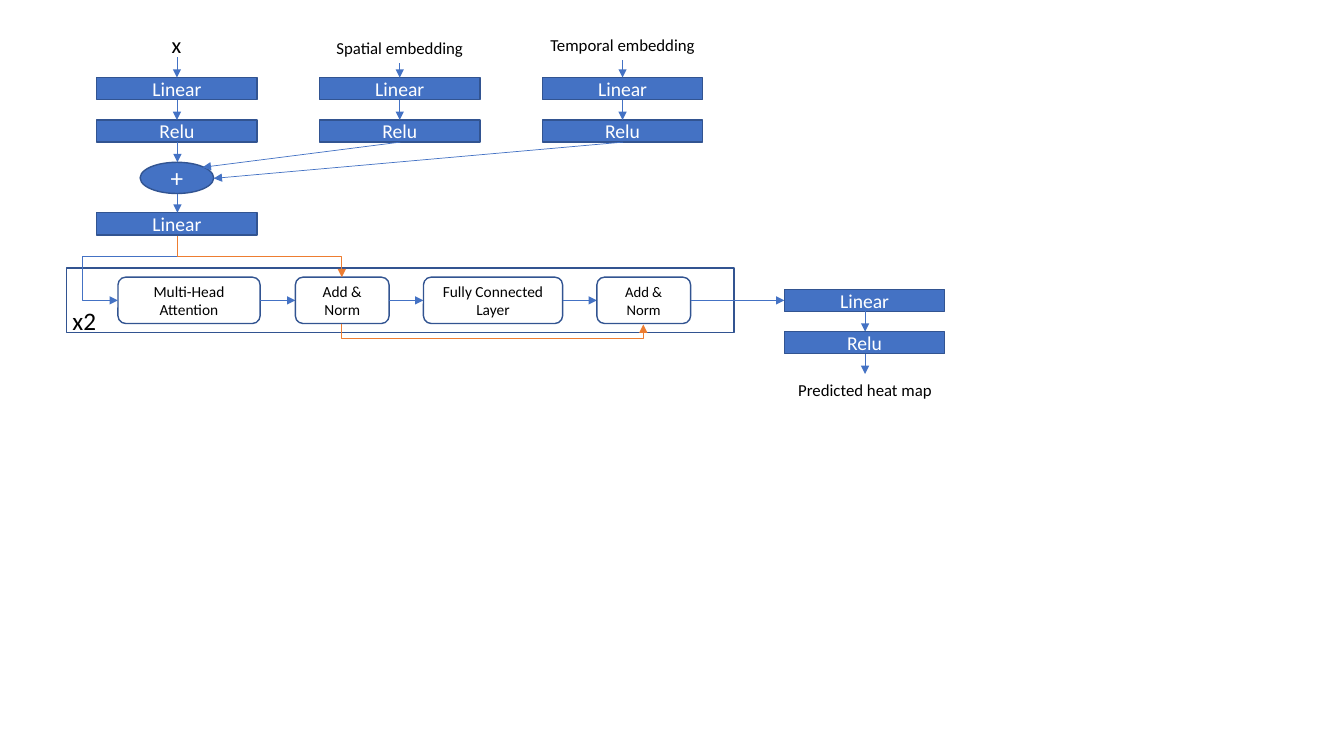
from pptx import Presentation
from pptx.dml.color import RGBColor
from pptx.enum.shapes import MSO_CONNECTOR, MSO_SHAPE
from pptx.enum.text import MSO_ANCHOR, PP_ALIGN
from pptx.oxml.ns import qn
from pptx.util import Cm, Pt
from lxml.etree import SubElement

BLUE, NAVY, ORANGE = "4472C4", "325491", "ED7D31"
WHITE, BLACK = "FFFFFF", "000000"
BAR_W, BAR_H, STEP = 1.59, 0.22, 0.42


def inch(v):
    return Cm(v * 2.54)


def color(value):
    return RGBColor.from_string(value)


class Diagram:
    """Draws the network's elements on one slide, in inches."""

    def __init__(self, slide):
        self.s = slide

    def add_text(self, shape, text, size, hue, align=PP_ALIGN.CENTER, **frame):
        tf = shape.text_frame
        for name, value in frame.items():
            setattr(tf, name, value)
        for i, line in enumerate(text.split("\n")):
            p = tf.paragraphs[0] if i == 0 else tf.add_paragraph()
            p.alignment = align
            r = p.add_run()
            r.text = line
            for name, value in {"name": "Calibri", "size": Pt(size)}.items():
                setattr(r.font, name, value)
            r.font.color.rgb = color(hue)

    def box(self, kind, x, y, w, h, text="", size=14, fill=BLUE, hue=WHITE):
        sp = self.s.shapes.add_shape(kind, inch(x), inch(y), inch(w), inch(h))
        sp.shadow.inherit = False
        if fill:
            sp.fill.solid()
            sp.fill.fore_color.rgb = color(fill)
        else:
            sp.fill.background()
        sp.line.color.rgb = color(NAVY)
        sp.line.width = Pt(1)
        if text:
            self.add_text(sp, text, size, hue, word_wrap=True,
                          vertical_anchor=MSO_ANCHOR.MIDDLE)

    def bar(self, x, y, text):
        self.box(MSO_SHAPE.RECTANGLE, x, y, BAR_W, BAR_H, text)

    def label(self, x, y, w, h, text, size=12, align=PP_ALIGN.CENTER):
        sp = self.s.shapes.add_textbox(inch(x), inch(y), inch(w), inch(h))
        self.add_text(sp, text, size, BLACK, align, word_wrap=False)

    def arrow(self, x1, y1, x2, y2, hue=BLUE, kind=MSO_CONNECTOR.STRAIGHT):
        c = self.s.shapes.add_connector(kind, inch(x1), inch(y1), inch(x2), inch(y2))
        c.line.color.rgb = color(hue)
        c.line.width = Pt(0.5)
        props = c.element.spPr
        SubElement(props.find(qn("a:ln")), qn("a:tailEnd"), type="triangle")
        SubElement(props, qn("a:effectLst"))
        return c

    def elbow(self, x1, y1, x2, y2, hue, preset="bentConnector3", adjust=(0.5,)):
        """Bent arrow that leaves downwards: a quarter-turned connector."""
        w, h = abs(y2 - y1), abs(x2 - x1)
        left, top = (x1 + x2 - w) / 2, (y1 + y2 - h) / 2
        c = self.arrow(left, top, left + w, top + h, hue, MSO_CONNECTOR.ELBOW)
        xfrm = c.element.spPr.find(qn("a:xfrm"))
        xfrm.set("rot", str((270 if x2 > x1 else 90) * 60000))
        if x2 > x1:
            xfrm.set("flipH", "1")
        geom = c.element.spPr.find(qn("a:prstGeom"))
        geom.set("prst", preset)
        guides = geom.find(qn("a:avLst"))
        for i, share in enumerate(adjust, 1):
            SubElement(guides, qn("a:gd"), name=f"adj{i}",
                       fmla=f"val {round(share * 100000)}")


def main():
    prs = Presentation()
    prs.slide_width, prs.slide_height = inch(13.33), inch(7.5)
    d = Diagram(prs.slides.add_slide(prs.slide_layouts[6]))

    # Input branches
    inputs = [("x", 16, 1.55, 0.26, 0.4, 0.37, 0.57),
              ("Spatial embedding", 12, 3.23, 0.33, 1.47, 0.3, 0.63),
              ("Temporal embedding", 12, 5.35, 0.3, 1.65, 0.3, 0.6)]
    top = 0.77
    for i, (text, size, x, y, w, h, start) in enumerate(inputs):
        left = 0.96 + 2.21 * i
        mid = left + BAR_W / 2
        d.label(x, y, w, h, text, size)
        d.bar(left, top, "Linear")
        d.bar(left, top + STEP, "Relu")
        d.arrow(mid, start, mid, top)
        d.arrow(mid, top + BAR_H, mid, top + STEP)

    # Sum of the branches
    d.box(MSO_SHAPE.OVAL, 1.39, 1.61, 0.73, 0.31, "+", 18)
    for x1, x2, y2 in [(1.76, 1.76, 1.61), (3.97, 2.01, 1.66), (6.18, 2.12, 1.77)]:
        d.arrow(x1, 1.41, x2, y2)
    d.bar(0.96, 2.11, "Linear")
    d.arrow(1.76, 1.92, 1.76, 2.11)

    # Attention block, repeated twice
    d.box(MSO_SHAPE.RECTANGLE, 0.66, 2.66, 6.62, 0.64, fill=WHITE)
    stages = [("Multi-Head\nAttention", 1.17, 1.41, 11),
              ("Add &\nNorm", 2.93, 0.93, 11),
              ("Fully Connected Layer", 4.2, 1.38, 11),
              ("Add &\nNorm", 5.92, 0.93, 10.5)]
    next_lefts = [x for _, x, _, _ in stages[1:]] + [7.78]
    for (text, x, w, size), end in zip(stages, next_lefts):
        d.box(MSO_SHAPE.ROUNDED_RECTANGLE, x, 2.75, w, 0.46, text, size, None, BLACK)
        d.arrow(x + w, 2.98, end, 2.98)
    d.label(0.62, 2.98, 0.61, 0.24, "x2", 18, PP_ALIGN.LEFT)

    # Block input and skip connections
    d.elbow(1.76, 2.34, 1.17, 2.98, BLUE, "bentConnector4", (0.32, 1.6))
    d.elbow(1.76, 2.34, 3.39, 2.75, ORANGE)
    d.elbow(3.39, 3.21, 6.38, 3.22, ORANGE, adjust=(15,))

    # Output head
    for y, text in [(2.87, "Linear"), (2.87 + STEP, "Relu")]:
        d.bar(7.78, y, text)
        d.arrow(8.58, y + BAR_H, 8.58, y + STEP)
    d.label(7.81, 3.72, 1.54, 0.3, "Predicted heat map")

    prs.save("out.pptx")


if __name__ == "__main__":
    main()
